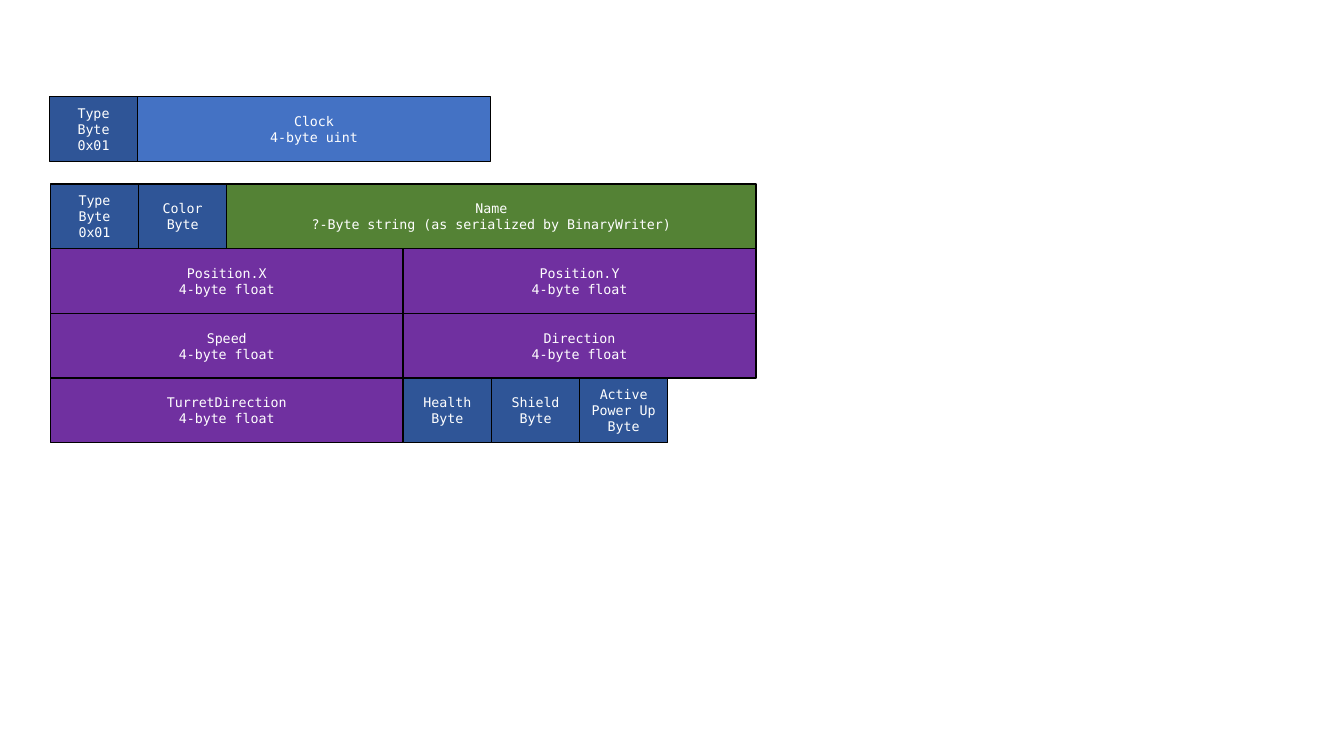
from copy import deepcopy

from pptx import Presentation
from pptx.dml.color import RGBColor
from pptx.enum.shapes import MSO_SHAPE
from pptx.enum.text import MSO_ANCHOR, PP_ALIGN
from pptx.oxml.ns import qn
from pptx.util import Pt

NAVY = RGBColor(0x2F, 0x55, 0x97)
BLUE = RGBColor(0x44, 0x72, 0xC4)
GREEN = RGBColor(0x54, 0x82, 0x35)
PURPLE = RGBColor(0x70, 0x30, 0xA0)
BLACK = RGBColor(0, 0, 0)
WHITE = RGBColor(0xFF, 0xFF, 0xFF)

BYTE_WIDTH = 63
ROW_HEIGHT = 46.2


class PacketSlide:
    font_name = "DejaVu Sans Mono"
    font_size = Pt(9.5)
    line_width = Pt(1)

    def __init__(self, deck):
        self.slide = deck.slides.add_slide(deck.slide_layouts[6])

    def field(self, group, left, top, byte_count, text, color):
        box = group.shapes.add_shape(
            MSO_SHAPE.RECTANGLE, Pt(left), Pt(top),
            Pt(byte_count * BYTE_WIDTH), Pt(ROW_HEIGHT))
        box.shadow.inherit = False
        box.fill.solid()
        box.fill.fore_color.rgb = color
        box.line.color.rgb = BLACK
        box.line.width = self.line_width
        frame = box.text_frame
        frame.word_wrap = True
        frame.vertical_anchor = MSO_ANCHOR.MIDDLE
        para = frame.paragraphs[0]
        para.text = text.replace("\n", "\v")
        para.alignment = PP_ALIGN.CENTER
        for span in para.runs:
            span.font.name = self.font_name
            span.font.size = self.font_size
            span.font.color.rgb = WHITE
        style = para.runs[0].font._element
        for line_break in para._p.findall(qn("a:br")):
            line_break.append(deepcopy(style))

    def packet(self, left, top, rows):
        group = self.slide.shapes.add_group_shape()
        for row_index, row in enumerate(rows):
            offset = 0
            for text, byte_count, color in row:
                self.field(group, left + offset * BYTE_WIDTH,
                           top + row_index * ROW_HEIGHT, byte_count, text, color)
                offset += byte_count


def byte_field(label):
    return label, 1, NAVY


def float_field(label):
    return f"{label}\n4-byte float", 4, PURPLE


TYPE_FIELD = byte_field("Type\nByte\n0x01")
CLOCK_PACKET = [[TYPE_FIELD, ("Clock\n4-byte uint", 4, BLUE)]]
PLAYER_PACKET = [
    [TYPE_FIELD, byte_field("Color\nByte"),
     ("Name\n?-Byte string (as serialized by BinaryWriter)", 6, GREEN)],
    [float_field("Position.X"), float_field("Position.Y")],
    [float_field("Speed"), float_field("Direction")],
    [float_field("TurretDirection"), byte_field("Health\nByte"),
     byte_field("Shield\nByte"), byte_field("Active\nPower Up\nByte")],
]

deck = Presentation()
deck.slide_width = Pt(960)
deck.slide_height = Pt(540)
page = PacketSlide(deck)
page.packet(35.3, 69, CLOCK_PACKET)
page.packet(36, 131.5, PLAYER_PACKET)
deck.save("out.pptx")
